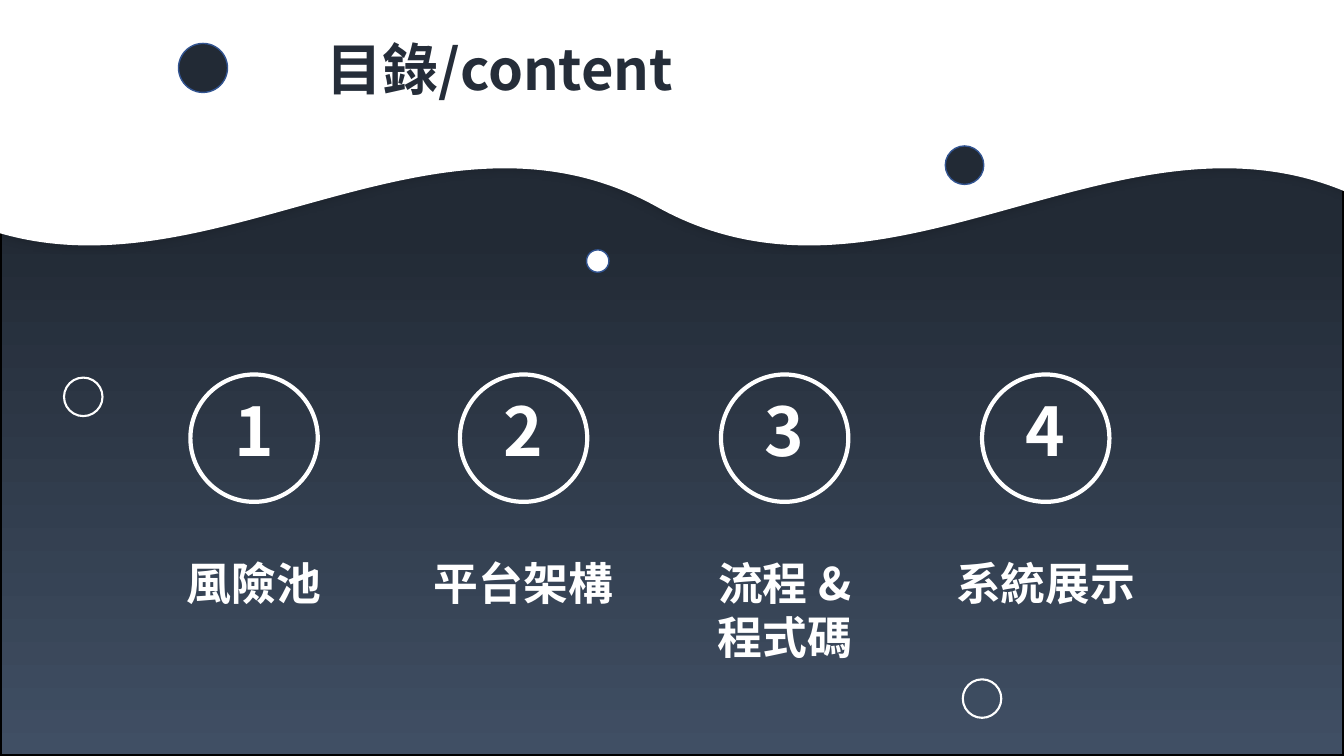
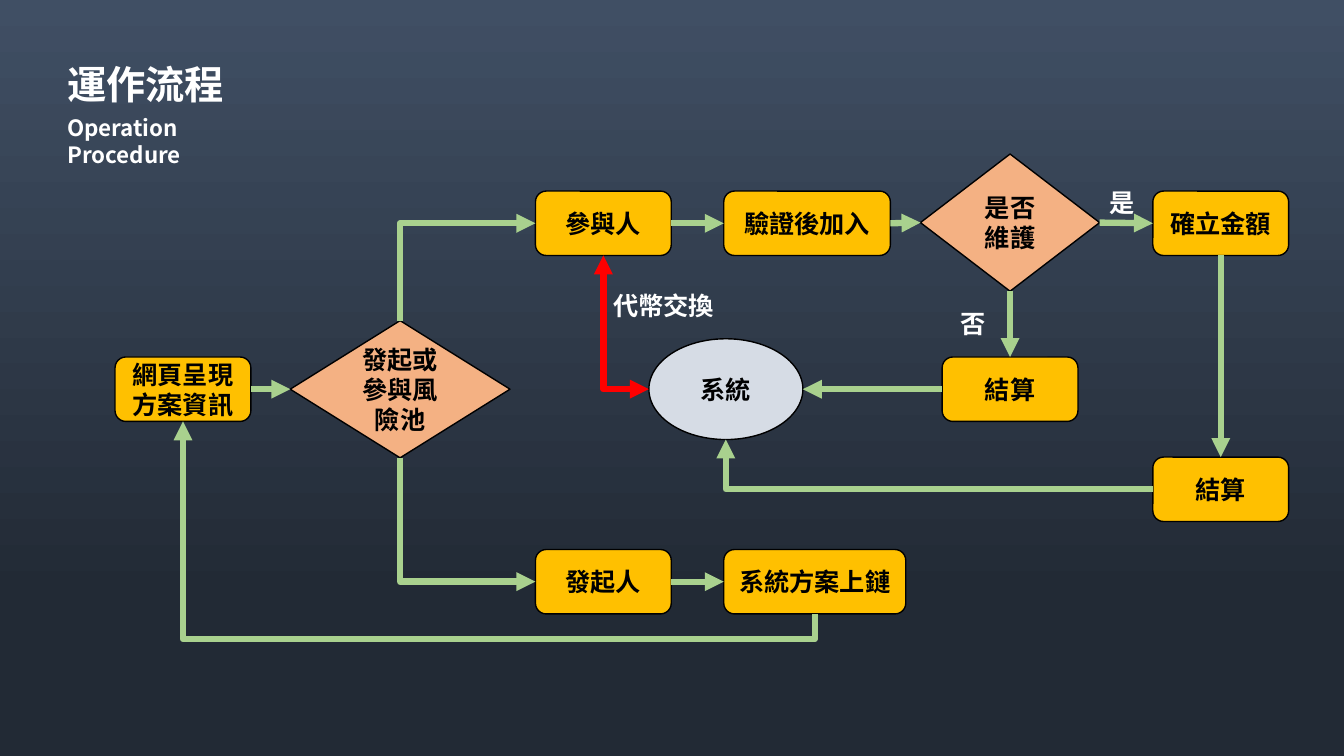
from lxml.etree import SubElement
from pptx import Presentation
from pptx.dml.color import RGBColor
from pptx.enum.shapes import MSO_CONNECTOR, MSO_SHAPE
from pptx.enum.text import MSO_ANCHOR, PP_ALIGN
from pptx.oxml.ns import qn
from pptx.util import Pt

FONT = "Noto Sans CJK SC"
WIDTH, HEIGHT = 960, 540
NAVY, SLATE, TITLE = "222A35", "404F64", "252D39"
WHITE, BLACK, BLUE = "FFFFFF", "000000", "325491"
AMBER, PEACH, MIST = "FFC000", "F4B183", "D6DCE5"
GREEN, RED = "A9D18E", "FF0000"
TOP, LEFT, BOTTOM, RIGHT = range(4)


def rgb(color):
    return RGBColor.from_string(color)


def write(frame, text, size=18, color=WHITE, align=PP_ALIGN.LEFT,
          anchor=MSO_ANCHOR.TOP, wrap=True):
    """Put one bold paragraph in a text frame."""
    frame.word_wrap = wrap
    frame.vertical_anchor = anchor
    para = frame.paragraphs[0]
    para.alignment = align
    span = para.add_run()
    span.text = text
    span.font.size = Pt(size)
    span.font.bold = True
    span.font.name = FONT
    span.font.color.rgb = rgb(color)
    SubElement(span.font._element, qn("a:ea"), typeface=FONT)


class Painter:
    """Holds the deck, its style and the current slide."""

    def __init__(self):
        self.deck = Presentation()
        self.deck.slide_width = Pt(WIDTH)
        self.deck.slide_height = Pt(HEIGHT)
        self.page = None

    def new_page(self):
        self.page = self.deck.slides.add_slide(self.deck.slide_layouts[6])

    def shape(self, kind, left, top, width, height, fill=None, line=None, weight=1):
        shape = self.page.shapes.add_shape(
            kind, Pt(left), Pt(top), Pt(width), Pt(height))
        shape.shadow.inherit = False
        if fill:
            shape.fill.solid()
            shape.fill.fore_color.rgb = rgb(fill)
        else:
            shape.fill.background()
        if line:
            shape.line.color.rgb = rgb(line)
            shape.line.width = Pt(weight)
        else:
            shape.line.fill.background()
        return shape

    def backdrop(self, top, stops, line=None):
        panel = self.shape(MSO_SHAPE.RECTANGLE, 0, top, WIDTH, HEIGHT - top,
                           line=line, weight=2.25)
        panel.fill.gradient()
        panel.fill.gradient_angle = 270
        for stop, (position, color) in zip(panel.fill.gradient_stops, stops):
            stop.position = position
            stop.color.rgb = rgb(color)

    def wave(self, left, top, width, height):
        wave = self.shape(MSO_SHAPE.DOUBLE_WAVE, left, top, width, height, WHITE)
        wave.adjustments[0], wave.adjustments[1] = 0.112, -0.002
        properties = wave.element.spPr
        properties.find(qn("a:xfrm")).set("flipV", "1")
        shadow = SubElement(
            properties.find(qn("a:effectLst")), qn("a:outerShdw"),
            blurRad=str(Pt(10)), dist=str(Pt(3)), dir="16200000",
            algn="b", rotWithShape="0")
        tint = SubElement(shadow, qn("a:srgbClr"), val=BLACK)
        SubElement(tint, qn("a:alpha"), val="38000")

    def dot(self, center_x, center_y, size, fill=None, line=BLUE, weight=1):
        return self.shape(MSO_SHAPE.OVAL, center_x - size / 2, center_y - size / 2,
                          size, size, fill, line, weight)

    def text(self, text, left, top, width, height, **style):
        box = self.page.shapes.add_textbox(Pt(left), Pt(top), Pt(width), Pt(height))
        write(box.text_frame, text, **style)

    def node(self, text, center_x, center_y, width=97, height=46,
             kind=MSO_SHAPE.ROUNDED_RECTANGLE, fill=AMBER):
        node = self.shape(kind, center_x - width / 2, center_y - height / 2,
                          width, height, fill, BLACK)
        write(node.text_frame, text, color=BLACK,
              align=PP_ALIGN.CENTER, anchor=MSO_ANCHOR.MIDDLE)
        return node

    def link(self, start, start_side, end, end_side, color=GREEN,
             heads=("tailEnd",), elbow=False):
        """Glue a line to two nodes; an elbow leaves the start sideways."""
        kind = MSO_CONNECTOR.ELBOW if elbow else MSO_CONNECTOR.STRAIGHT
        link = self.page.shapes.add_connector(kind, 0, 0, 0, 0)
        link.begin_connect(start, start_side)
        link.end_connect(end, end_side)
        # An oval has eight sites, so each side counts double
        for tag, node, side in (("a:stCxn", start, start_side),
                                ("a:endCxn", end, end_side)):
            if node.auto_shape_type == MSO_SHAPE.OVAL:
                next(link.element.iter(qn(tag))).set("idx", str(side * 2))
        link.line.color.rgb = rgb(color)
        link.line.width = Pt(4.5)
        properties = link.element.spPr
        for head in heads:
            SubElement(properties.find(qn("a:ln")), qn("a:" + head), type="triangle")
        SubElement(properties, qn("a:effectLst"))
        if elbow:
            properties.find(qn("a:prstGeom")).set("prst", "bentConnector2")
        return link

    def return_link(self, start, end, drop):
        """Run below both nodes, from the bottom of start back up to end."""
        link = self.link(start, BOTTOM, end, BOTTOM, elbow=True)
        across, rise = link.begin_x - link.end_x, link.begin_y - link.end_y
        middle_x = (link.begin_x + link.end_x) // 2
        middle_y = (link.begin_y + link.end_y) // 2
        link.left, link.top = middle_x - rise // 2, middle_y - across // 2
        link.width, link.height = rise, across
        frame = link.element.spPr.find(qn("a:xfrm"))
        for name, value in (("rot", "5400000"), ("flipH", "1"), ("flipV", "0")):
            frame.set(name, value)
        outline = link.element.spPr.find(qn("a:prstGeom"))
        outline.set("prst", "bentConnector3")
        guides = outline.find(qn("a:avLst"))
        if guides is None:
            guides = SubElement(outline, qn("a:avLst"))
        bend = round(-Pt(drop) / rise * 100000)
        SubElement(guides, qn("a:gd"), name="adj1", fmla=f"val {bend}")


def contents_page(paint):
    paint.new_page()
    paint.backdrop(65.5, ((0.21, NAVY), (1, SLATE)), line=BLACK)
    paint.wave(-49, -79.2, 1032.5, 255.6)

    # Title and loose dots
    paint.dot(145, 48.5, 35, NAVY)
    paint.dot(689, 118, 27.5, NAVY)
    paint.text("目錄/content", 157.7, 21, 399, 55, size=40, color=TITLE,
               align=PP_ALIGN.CENTER)
    paint.dot(427, 186.5, 16, WHITE)
    for center_x, center_y in ((59.5, 283.5), (701.5, 499)):
        paint.dot(center_x, center_y, 27.5, line=WHITE, weight=1.5)

    # Numbered chapters
    chapters = (("風險池", 181.5), ("平台架構", 374),
                ("流程 & 程式碼", 560.5), ("系統展示", 747))
    for number, (chapter, center_x) in enumerate(chapters, 1):
        paint.dot(center_x, 313, 91, line=WHITE, weight=3)
        paint.text(str(number), center_x - 29, 274.5, 58, 65.5, size=48,
                   align=PP_ALIGN.CENTER)
        paint.text(chapter, center_x - 73, 393.5, 146, 46, size=32,
                   align=PP_ALIGN.CENTER)


def process_page(paint):
    paint.new_page()
    paint.backdrop(0, ((0, SLATE), (0.79, NAVY)))

    # Nodes
    upper, middle, lower = 159.5, 278, 418.5
    web = paint.node("網頁呈現方案資訊", 130.7, middle)
    choice = paint.node("發起或參與風險池", 285.8, middle, 157, 98,
                        MSO_SHAPE.DIAMOND, PEACH)
    founder = paint.node("發起人", 431, 415.5)
    member = paint.node("參與人", 431, upper)
    verified = paint.node("驗證後加入", 576.5, upper, width=119)
    chained = paint.node("系統方案上鏈", 582, 415.5, width=130)
    upkeep = paint.node("是否維護", 721.5, upper - 0.5, 128, 98,
                        MSO_SHAPE.DIAMOND, PEACH)
    settled = paint.node("結算", 721.5, middle)
    system = paint.node("系統", 518.5, middle, 110, 72, MSO_SHAPE.OVAL, MIST)
    amount = paint.node("確立金額", 872, upper)
    paid = paint.node("結算", 872, 349.5)

    # Straight links
    for start, end in ((web, choice), (member, verified), (founder, chained),
                       (verified, upkeep), (upkeep, amount)):
        paint.link(start, RIGHT, end, LEFT)
    for start, end in ((upkeep, settled), (amount, paid)):
        paint.link(start, BOTTOM, end, TOP)
    paint.link(settled, LEFT, system, RIGHT)

    # Bent links
    paint.link(member, LEFT, choice, TOP, heads=("headEnd",), elbow=True)
    paint.link(founder, LEFT, choice, BOTTOM, heads=("headEnd",), elbow=True)
    paint.link(paid, LEFT, system, BOTTOM, elbow=True)
    paint.link(system, LEFT, member, BOTTOM, color=RED,
               heads=("headEnd", "tailEnd"), elbow=True)
    paint.return_link(chained, web, drop=18)

    # Link labels
    paint.text("是", 785.5, 130.5, 32.5, 29, wrap=False)
    paint.text("否", 679, 217, 32.5, 29)
    paint.text("代幣交換", 431, 204, 87, 29, wrap=False)

    # Title
    paint.text("運作流程", 41, 39.5, 127.5, 41, size=28, wrap=False)
    paint.text("Operation Procedure", 41, 78, 127.5, 46, size=16)


def main():
    paint = Painter()
    contents_page(paint)
    process_page(paint)
    paint.deck.save("out.pptx")


if __name__ == "__main__":
    main()
